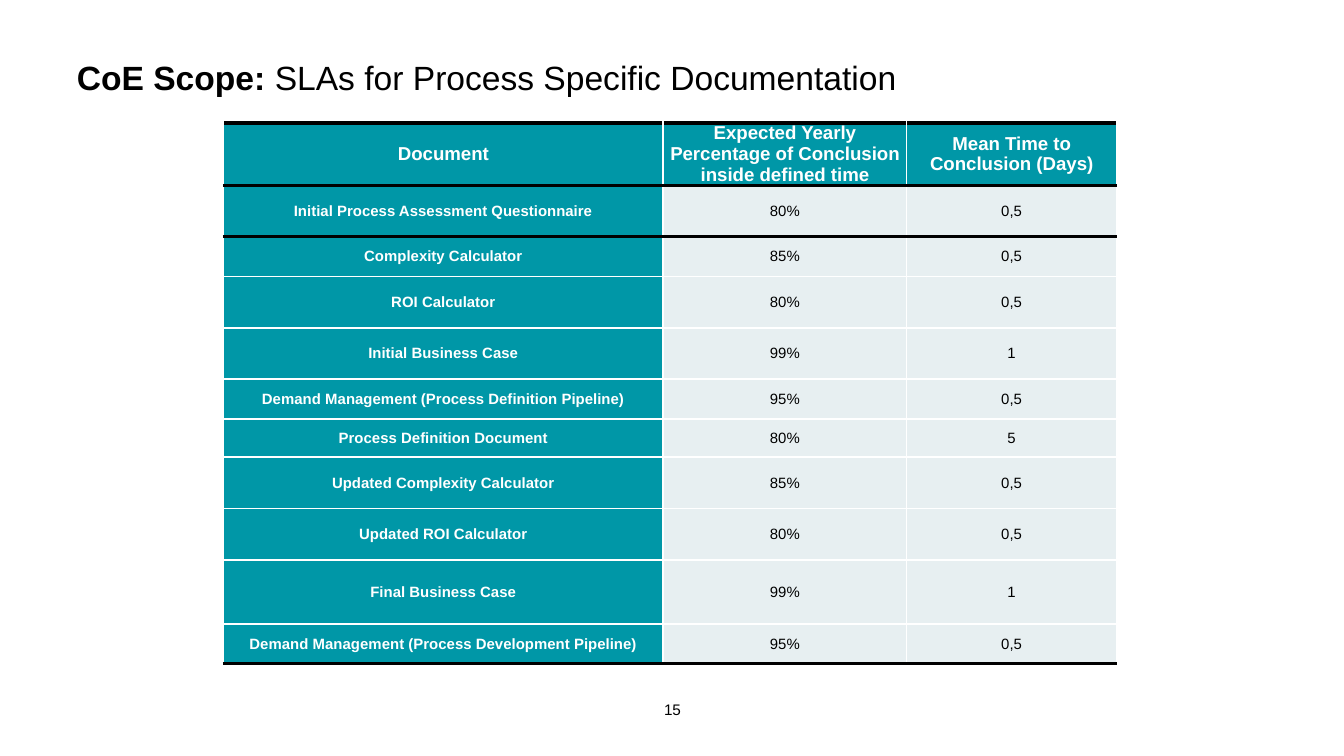
from pptx import Presentation
from pptx.dml.color import RGBColor
from pptx.enum.text import MSO_ANCHOR, PP_ALIGN
from pptx.oxml.ns import qn
from pptx.util import Pt
from lxml import etree

MIDDLE = MSO_ANCHOR.MIDDLE
LEFT, CENTER = PP_ALIGN.LEFT, PP_ALIGN.CENTER
TEAL, PALE, WHITE, BLACK = "0097A7", "E7EFF1", "FFFFFF", "000000"


def style(font, size, color, bold=False):
    font.name = "Arial"
    font.size = Pt(size)
    font.bold = bold
    font.color.rgb = RGBColor.from_string(color)


def border(cell, side, color, width):
    props = cell._tc.get_or_add_tcPr()
    line = etree.Element(qn("a:" + side), w=str(Pt(width)))
    fill = etree.SubElement(line, qn("a:solidFill"))
    etree.SubElement(fill, qn("a:srgbClr"), val=color)
    props.append(line)


deck = Presentation()
deck.slide_width, deck.slide_height = Pt(720), Pt(405)
slide = deck.slides.add_slide(deck.slide_layouts[5])

title = slide.shapes.title
title.left, title.top, title.width, title.height = Pt(34), Pt(23.5), Pt(650), Pt(36)
frame = title.text_frame
frame.margin_left = frame.margin_right = Pt(7.2)
frame.margin_top = frame.margin_bottom = Pt(7.2)
frame.vertical_anchor = MIDDLE
para = frame.paragraphs[0]
para.alignment = LEFT
for text, bold in [("CoE Scope: ", True), ("SLAs for Process Specific Documentation", False)]:
    run = para.add_run()
    run.text = text
    style(run.font, 18, BLACK, bold)

heads = ["Document", "Expected Yearly Percentage of Conclusion inside defined time",
         "Mean Time to Conclusion (Days)"]
docs = [
    ("Initial Process Assessment Questionnaire", "80%", "0,5", 27.5),
    ("Complexity Calculator", "85%", "0,5", 21.3),
    ("ROI Calculator", "80%", "0,5", 27.5),
    ("Initial Business Case", "99%", "1", 27.5),
    ("Demand Management (Process Definition Pipeline)", "95%", "0,5", 21.3),
    ("Process Definition Document", "80%", "5", 20.6),
    ("Updated Complexity Calculator", "85%", "0,5", 27.5),
    ("Updated ROI Calculator", "80%", "0,5", 27.5),
    ("Final Business Case", "99%", "1", 34.3),
    ("Demand Management (Process Development Pipeline)", "95%", "0,5", 21.3),
]
rows = [(*heads, 33.4)] + docs
widths = [235.5, 130.5, 112.5]
rules = {0, 1, 2, len(rows)}

table = slide.shapes.add_table(len(rows), len(widths), Pt(119.75), Pt(65.75),
                               Pt(sum(widths)), Pt(sum(row[-1] for row in rows))).table
for col, width in zip(table.columns, widths):
    col.width = Pt(width)

for r, (*texts, height) in enumerate(rows):
    table.rows[r].height = Pt(height)
    for c, text in enumerate(texts):
        cell = table.cell(r, c)
        dark = r == 0 or c == 0
        cell.margin_left = cell.margin_right = 0
        cell.margin_top = cell.margin_bottom = 0
        cell.vertical_anchor = MIDDLE
        cell.text_frame.text = text
        para = cell.text_frame.paragraphs[0]
        para.alignment = CENTER
        style(para.runs[0].font, 8 if r else 10, WHITE if dark else BLACK, dark)
        for side, edge in [("lnL", None), ("lnR", None), ("lnT", r), ("lnB", r + 1)]:
            if edge in rules:
                border(cell, side, BLACK, 2.25)
            else:
                border(cell, side, WHITE, 1)
        cell.fill.solid()
        cell.fill.fore_color.rgb = RGBColor.from_string(TEAL if dark else PALE)

page = slide.shapes.add_textbox(Pt(355.75), Pt(375.25), Pt(14.5), Pt(10))
frame = page.text_frame
frame.margin_left = frame.margin_right = 0
frame.margin_top = frame.margin_bottom = 0
frame.text = "15"
frame.paragraphs[0].alignment = LEFT
style(frame.paragraphs[0].runs[0].font, 8.2, BLACK)

deck.save("out.pptx")
